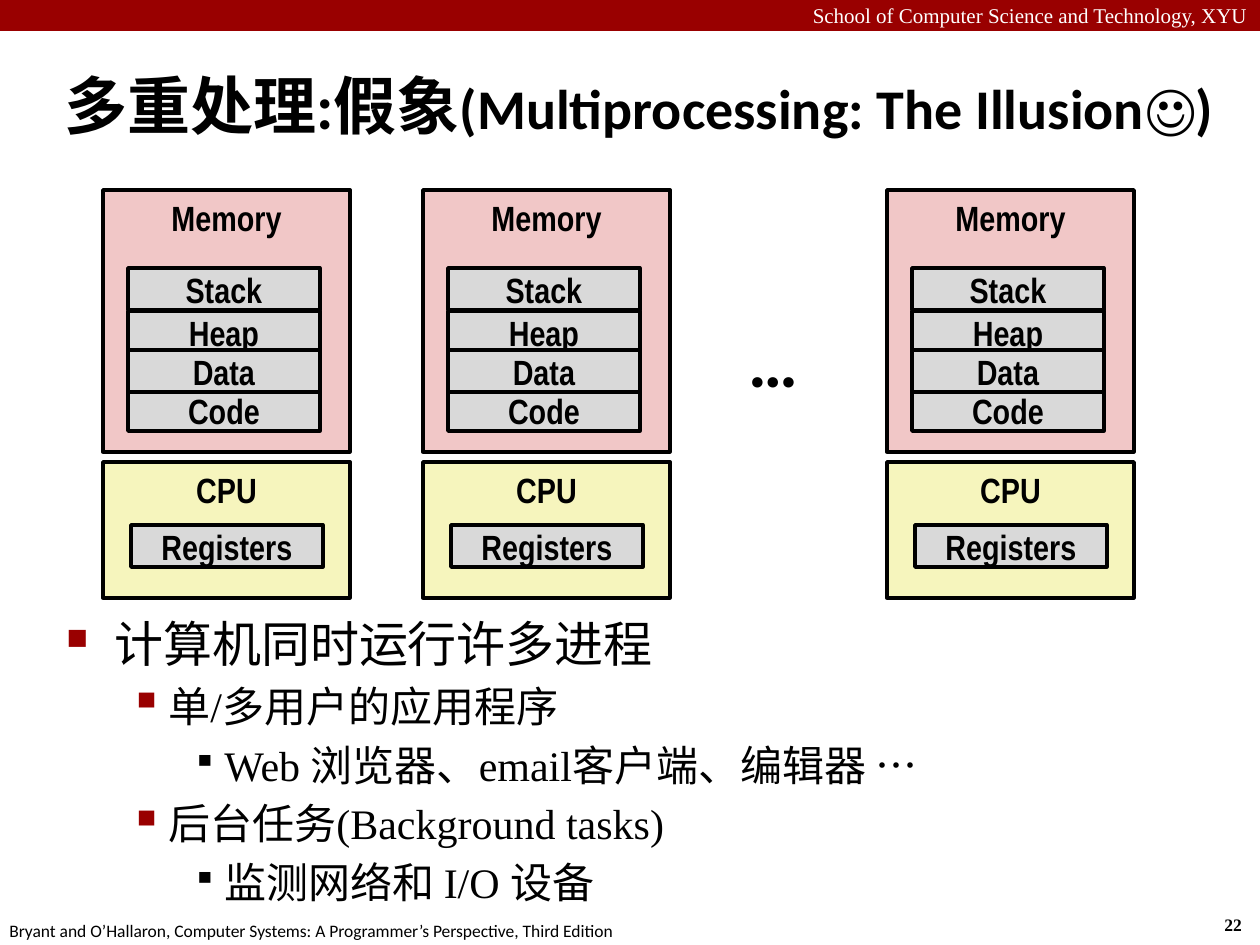
from pptx import Presentation
from pptx import util as u
from pptx.dml.color import RGBColor
from pptx.enum import shapes, text
from pptx.oxml import ns
from lxml import etree

SCALE = 914400 / 126
COLORS = {
    "black": "000000", "white": "FFFFFF", "crimson": "990000",
    "memory": "F1C7C7", "cpu": "F6F5BD", "cell": "D9D9D9",
}
LABEL = {"name": "Arial Narrow", "size": u.Pt(20), "bold": True}
TITLE = {"name": "Calibri", "size": u.Pt(36), "bold": True}
SUBTITLE = {**TITLE, "size": u.Pt(32)}
ELLIPSIS = {**TITLE, "size": u.Pt(40)}
HEADER = {"name": "Times New Roman", "size": u.Pt(12)}
NUMBER = {"name": "Times New Roman", "size": u.Pt(10), "bold": True}
FOOTER = {"name": "Calibri", "size": u.Pt(10)}
LEVELS = [
    {"margin": 48, "hang": 48, "size": 28, "mark": "■", "percent": 60, "color": "crimson"},
    {"margin": 102, "hang": 39, "size": 24, "mark": "▪", "percent": 110, "color": "crimson"},
    {"margin": 158, "hang": 32, "size": 24, "mark": "▪", "percent": 80, "color": "black"},
]
OUTLINE = [
    (0, "计算机同时运行许多进程"),
    (1, "单/多用户的应用程序"),
    (2, "Web 浏览器、email客户端、编辑器 …"),
    (1, "后台任务(Background tasks)"),
    (2, "监测网络和 I/O 设备"),
]
SEGMENTS = {"Stack": 268, "Heap": 311, "Code": 389, "Data": 350}
PROCESSES = [103, 423, 887]
TOP, MIDDLE = text.MSO_ANCHOR.TOP, text.MSO_ANCHOR.MIDDLE
LEFT, CENTER, RIGHT = text.PP_ALIGN.LEFT, text.PP_ALIGN.CENTER, text.PP_ALIGN.RIGHT


def px(length):
    return u.Emu(round(length * SCALE))


class Board:
    """Draws styled elements on the current slide."""

    def __init__(self, deck):
        self.slide = deck.slides.add_slide(deck.slide_layouts[6])
        self.target = self.slide.shapes

    def group(self):
        self.target = self.slide.shapes.add_group_shape().shapes

    def ungroup(self):
        self.target = self.slide.shapes

    def run(self, paragraph, words, style, color="black"):
        run = paragraph.add_run()
        run.text = words
        for key, value in style.items():
            setattr(run.font, key, value)
        run.font.color.rgb = RGBColor.from_string(COLORS[color])

    def indent(self, paragraph, margin, hang):
        props = paragraph._p.get_or_add_pPr()
        props.set("marL", str(px(margin)))
        props.set("indent", str(-px(hang)))
        return props

    def box(self, area, fill, label="", anchor=TOP, border=True):
        rect = self.target.add_shape(shapes.MSO_SHAPE.RECTANGLE, *map(px, area))
        rect.shadow.inherit = False
        rect.fill.solid()
        rect.fill.fore_color.rgb = RGBColor.from_string(COLORS[fill])
        if border:
            rect.line.color.rgb = RGBColor.from_string(COLORS["black"])
            rect.line.width = u.Pt(2)
        else:
            rect.line.fill.background()
        if label:
            rect.text_frame.vertical_anchor = anchor
            paragraph = rect.text_frame.paragraphs[0]
            paragraph.alignment = CENTER
            self.run(paragraph, label, LABEL)

    def note(self, area, runs, align=LEFT, anchor=TOP, wrap=True, color="black"):
        frame = self.target.add_textbox(*map(px, area)).text_frame
        frame.word_wrap = wrap
        frame.vertical_anchor = anchor
        paragraph = frame.paragraphs[0]
        paragraph.alignment = align
        for words, style in runs:
            self.run(paragraph, words, style, color)
        return paragraph

    def bullets(self, area, items):
        frame = self.target.add_textbox(*map(px, area)).text_frame
        frame.word_wrap = True
        for index, (depth, words) in enumerate(items):
            level = LEVELS[depth]
            paragraph = frame.add_paragraph() if index else frame.paragraphs[0]
            paragraph.level = depth
            props = self.indent(paragraph, level["margin"], level["hang"])
            for parent, child, key, value in [
                ("a:spcBef", "a:spcPct", "val", "20000"),
                ("a:buClr", "a:srgbClr", "val", COLORS[level["color"]]),
                ("a:buSzPct", None, "val", str(level["percent"] * 1000)),
                ("a:buChar", None, "char", level["mark"]),
            ]:
                node = etree.SubElement(props, ns.qn(parent))
                if child:
                    node = etree.SubElement(node, ns.qn(child))
                node.set(key, value)
            style = {"name": "Times New Roman", "size": u.Pt(level["size"])}
            self.run(paragraph, words, style)

    def process(self, left):
        self.group()
        self.box((left, 462, 247, 136), "cpu", "CPU")
        self.box((left + 28, 525, 192, 42), "cell", "Registers", MIDDLE)
        self.box((left, 190, 247, 262), "memory", "Memory")
        for segment, top in SEGMENTS.items():
            self.box((left + 25, top, 192, 42), "cell", segment, MIDDLE)
        self.ungroup()


def main():
    deck = Presentation()
    deck.slide_width, deck.slide_height = px(1260), px(945)
    board = Board(deck)
    board.box((0, 0, 1260, 31), "crimson", border=False)
    board.note((0, -4, 1260, 38), [("School of Computer Science and Technology, XYU", HEADER)],
               align=RIGHT, color="white")
    board.note((1212, 908, 47, 34), [("22", NUMBER)], wrap=False)
    board.note((-3, 914, 640, 34),
               [("Bryant and O’Hallaron, Computer Systems: A Programmer’s Perspective, Third Edition",
                 FOOTER)], wrap=False)
    board.bullets((54, 607, 1184, 306), OUTLINE)
    heading = board.note((52, 52, 1198, 105),
                         [("多重处理:假象", TITLE), ("(Multiprocessing: The Illusion☺)", SUBTITLE)],
                         anchor=MIDDLE)
    board.indent(heading, 16, 16)
    for left in PROCESSES:
        board.process(left)
    board.note((736, 311, 100, 97), [("…", ELLIPSIS)], wrap=False)
    deck.save("out.pptx")


if __name__ == "__main__":
    main()
